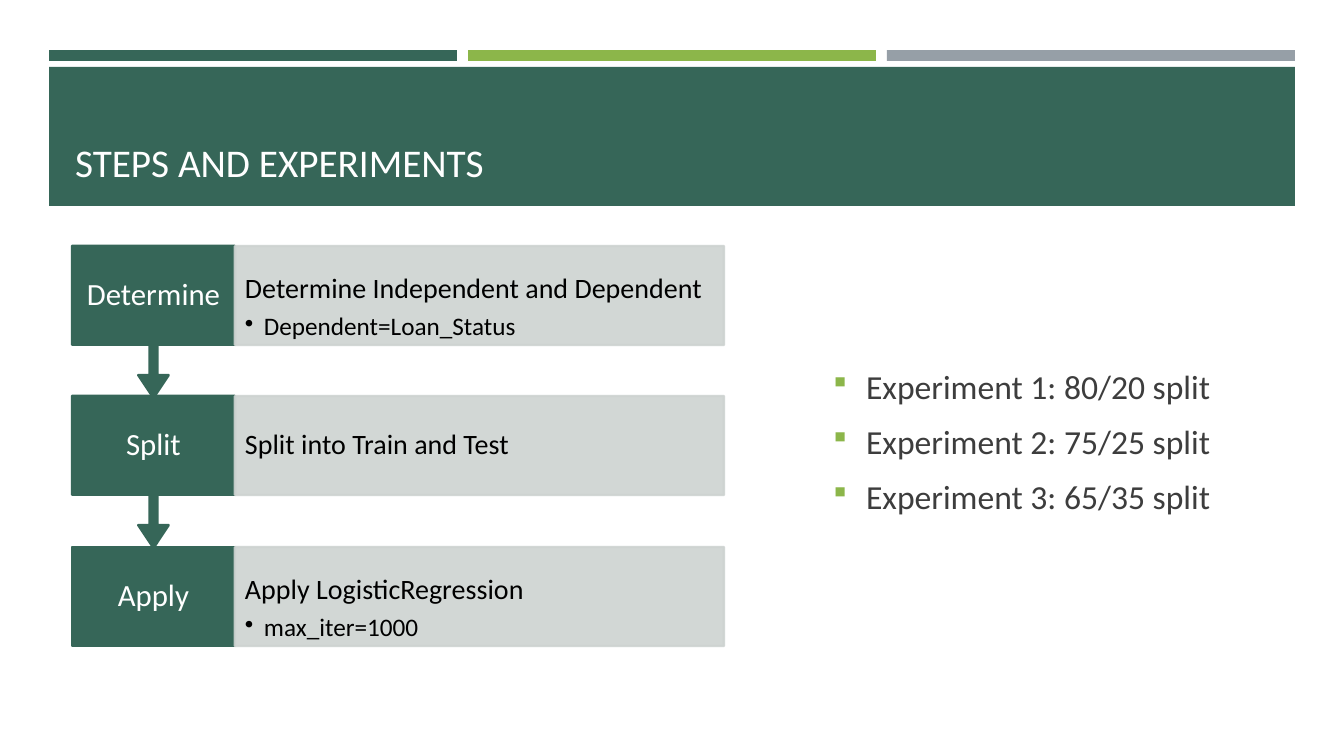
from lxml.etree import SubElement
from pptx import Presentation
from pptx.dml.color import RGBColor
from pptx.enum.shapes import MSO_SHAPE
from pptx.enum.text import MSO_ANCHOR, MSO_AUTO_SIZE, PP_ALIGN
from pptx.oxml.ns import qn
from pptx.util import Pt

PX = 914400 / 100.8
GREEN = RGBColor(0x36, 0x66, 0x58)
LIME = RGBColor(0x8C, 0xB6, 0x4A)
GREY = RGBColor(0x96, 0x9F, 0xA7)
PALE = RGBColor(0xCE, 0xD3, 0xD1)
WHITE = RGBColor(0xFF, 0xFF, 0xFF)
BLACK = RGBColor(0, 0, 0)
DARK = RGBColor(0x3D, 0x3D, 0x3D)
RECT, CALLOUT = MSO_SHAPE.RECTANGLE, MSO_SHAPE.DOWN_ARROW_CALLOUT
TOP, MIDDLE, BOTTOM = MSO_ANCHOR.TOP, MSO_ANCHOR.MIDDLE, MSO_ANCHOR.BOTTOM
LEFT, CENTER = PP_ALIGN.LEFT, PP_ALIGN.CENTER
NONE = MSO_AUTO_SIZE.NONE

deck = Presentation()
deck.slide_width, deck.slide_height = round(1344 * PX), round(756 * PX)
slide = deck.slides.add_slide(deck.slide_layouts[1])
title, body = slide.placeholders


def block(kind, area, fill, edge=False):
    shape = slide.shapes.add_shape(kind, *[round(n * PX) for n in area])
    shape.shadow.inherit = False
    shape.fill.solid()
    shape.fill.fore_color.rgb = fill
    if edge:
        shape.line.color.rgb = fill
        shape.line.width = Pt(1.75)
    else:
        shape.line.fill.background()
    return shape


def write(para, text, size, color, align=LEFT, bullet=None, indent=0):
    para.text = text
    para.alignment = align
    if bullet:
        props = para._p.get_or_add_pPr()
        props.set("marL", str(round(indent * PX)))
        props.set("indent", str(round(-indent * PX)))
        for tag, key, value in bullet:
            item = SubElement(props, qn(tag))
            if tag == "a:buClr":
                item = SubElement(item, qn("a:srgbClr"))
            item.set(key, value)
    para.font.name = "Calibri"
    para.font.size = Pt(size)
    para.font.color.rgb = color


for i, color in enumerate((GREEN, LIME, GREY)):
    block(RECT, (49 + 419 * i, 50, 408, 11), color)
block(RECT, (49, 67, 1246, 139), GREEN)

for holder, area, anchor in (
    (title, (65, 81, 1216, 109), BOTTOM),
    (body, (823, 346, 412, 190), MIDDLE),
):
    holder.left, holder.top, holder.width, holder.height = [round(n * PX) for n in area]
    holder.text_frame.auto_size = NONE
    holder.text_frame.vertical_anchor = anchor
    slide.shapes.element.append(holder.element)
write(title.text_frame.paragraphs[0], "STEPS AND EXPERIMENTS", 28, WHITE)

SQUARE = (
    ("a:buClr", "val", str(LIME)),
    ("a:buSzPct", "val", "92000"),
    ("a:buFont", "typeface", "Wingdings"),
    ("a:buChar", "char", "§"),
)
DOT = (("a:buChar", "char", "•"),)

tests = ("80/20", "75/25", "65/35")
for i, ratio in enumerate(tests):
    para = body.text_frame.paragraphs[0] if i == 0 else body.text_frame.add_paragraph()
    para.space_before, para.space_after = Pt(4.8), Pt(6)
    write(para, f"Experiment {i + 1}: {ratio} split", 24, DARK, bullet=SQUARE, indent=33)

steps = (
    ("Determine", "Determine Independent and Dependent", "Dependent=Loan_Status"),
    ("Split", "Split into Train and Test", None),
    ("Apply", "Apply LogisticRegression", "max_iter=1000"),
)
for i, (name, head, note) in enumerate(steps):
    y = 246 + 301 * i // 2
    last = i == len(steps) - 1
    step = block(RECT if last else CALLOUT, (72, y, 163, 99 if last else 152), GREEN, True)
    if not last:
        for j, ratio in enumerate((0.05, 0.1, 0.15, 0.65)):
            step.adjustments[j] = ratio
    info = block(RECT, (235, y, 489, 99), PALE, True)
    for tint in info.element.spPr.iter(qn("a:srgbClr")):
        SubElement(tint, qn("a:alpha")).set("val", "90000")

    for shape, side, edge, anchor in (
        (step, 11, 17, MIDDLE),
        (info, 10, 28, TOP if note else MIDDLE),
    ):
        frame = shape.text_frame
        frame.word_wrap = True
        frame.vertical_anchor = anchor
        frame.margin_left = frame.margin_right = round(side * PX)
        frame.margin_top = frame.margin_bottom = round(edge * PX)
        frame.paragraphs[0].line_spacing = 0.9
    write(step.text_frame.paragraphs[0], name, 22, WHITE, CENTER)
    para = info.text_frame.paragraphs[0]
    write(para, head, 20, BLACK)
    if note:
        para.space_after = Pt(7)
        para = info.text_frame.add_paragraph()
        para.level = 1
        para.line_spacing = 0.9
        write(para, note, 18, BLACK, bullet=DOT, indent=19)

deck.save("out.pptx")
